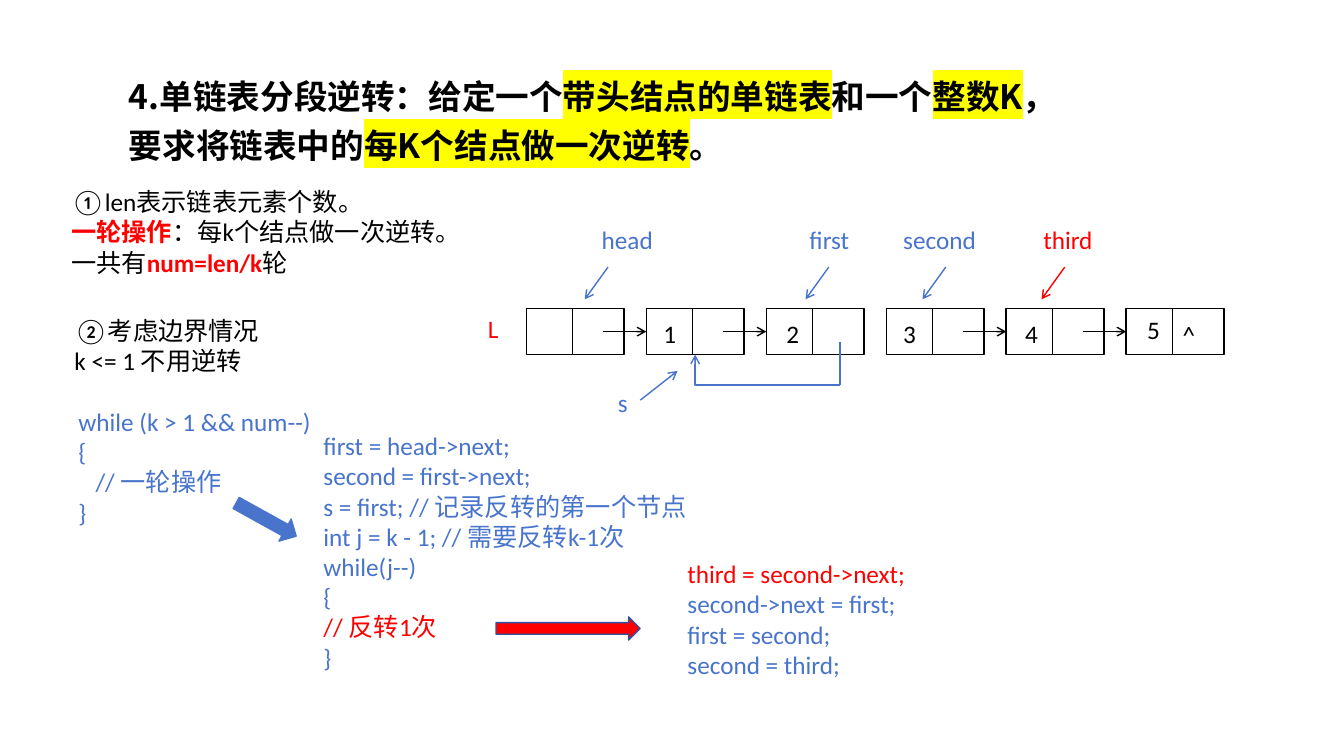
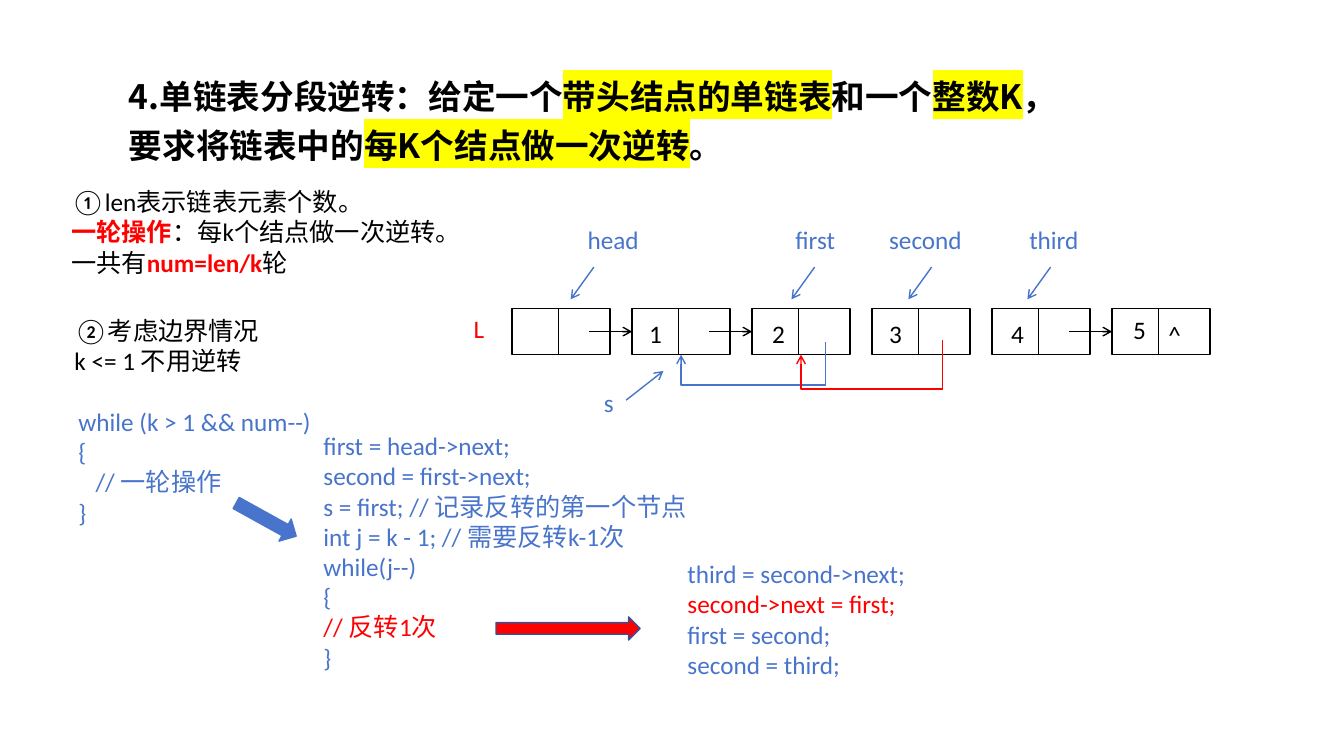
import dataclasses

import lxml.etree
import pptx
import pptx.dml.color
import pptx.enum.shapes
import pptx.enum.text
import pptx.oxml.ns
import pptx.util

Inches = pptx.util.Inches
qn = pptx.oxml.ns.qn
SHAPES = pptx.enum.shapes.MSO_SHAPE
CONNECTORS = pptx.enum.shapes.MSO_CONNECTOR
ANCHORS = pptx.enum.text.MSO_ANCHOR


@dataclasses.dataclass(frozen=True)
class Theme:
    black: str = "000000"
    red: str = "FF0000"
    blue: str = "4874CB"
    dark_blue: str = "2E54A1"
    yellow: str = "FFFF00"
    title_font: str = "Noto Sans CJK SC"
    body_font: str = "Calibri"
    title_size: int = 24
    body_size: int = 18
    title_spacing: float = 1.22
    line_width: float = 1


THEME = Theme()


@dataclasses.dataclass(frozen=True)
class Run:
    text: str
    color: str = THEME.black
    bold: bool = False
    highlight: bool = False


@dataclasses.dataclass(frozen=True)
class Step:
    list_left: float
    links: tuple
    active_line: int
    third_color: str
    second_reversed: bool


STEPS = (
    Step(5.22, (0, 1, 3, 4), 0, THEME.red, False),
    Step(5.08, (0, 1, 4), 1, THEME.blue, True),
)

TITLE = [
    Run("4.单链表分段逆转：给定一个", bold=True),
    Run("带头结点的单链表", bold=True, highlight=True),
    Run("和一个", bold=True),
    Run("整数K", bold=True, highlight=True),
    Run("，要求将链表中的", bold=True),
    Run("每K个结点做一次逆转", bold=True, highlight=True),
    Run("。", bold=True),
]
ROUND_NOTES = [
    [Run("①len表示链表元素个数。")],
    [Run("一轮操作", THEME.red, True), Run("：每k个结点做一次逆转。")],
    [Run("一共有"), Run("num=len/k", THEME.red, True), Run("轮")],
]
EDGE_NOTES = [[Run("②考虑边界情况")], [Run("k <= 1 不用逆转")]]
OUTER_LOOP = ("while (k > 1 && num--)", "{", "   // 一轮操作", "}")
ROUND_CODE = (
    "first = head->next;",
    "second = first->next;",
    "s = first; // 记录反转的第一个节点",
    "int j = k - 1; // 需要反转k-1次",
    "while(j--)",
    "{",
    "// 反转1次",
    "}",
)
REVERSE_CODE = (
    "third = second->next;",
    "second->next = first;",
    "first = second;",
    "second = third;",
)

NODE_COUNT = 6
NODE_PITCH = 1.19
NODE_TOP = 3.06
NODE_WIDTH = 0.97
NODE_HEIGHT = 0.46
DIVIDER = 0.46
NODE_VALUES = (
    ("1", 1.26, 3.11),
    ("2", 2.48, 3.11),
    ("3", 3.64, 3.11),
    ("4", 4.85, 3.11),
    ("5", 6.06, 3.07),
    ("^", 6.41, 3.12),
)
POINTERS = (
    ("head", 0.65, 0.86, 0.81),
    ("first", 2.71, 0.73, 3.0),
    ("second", 3.64, 1.02, 4.16),
    ("third", 5.03, 0.69, 5.34),
)


def rgb(color):
    return pptx.dml.color.RGBColor.from_string(color)


def add_run(paragraph, content, font_name, size):
    run = paragraph.add_run()
    run.text = content.text
    font = run.font
    font.size = pptx.util.Pt(size)
    font.bold = content.bold
    font.color.rgb = rgb(content.color)
    properties = run._r.get_or_add_rPr()
    if content.highlight:
        highlight = lxml.etree.SubElement(properties, qn("a:highlight"))
        lxml.etree.SubElement(highlight, qn("a:srgbClr"), val=THEME.yellow)
    font.name = font_name
    lxml.etree.SubElement(properties, qn("a:ea"), typeface=font_name)


def add_text(slide, box, paragraphs, font_name=THEME.body_font, size=THEME.body_size):
    frame = slide.shapes.add_textbox(*map(Inches, box)).text_frame
    frame.word_wrap = True
    for index, runs in enumerate(paragraphs):
        paragraph = frame.add_paragraph() if index else frame.paragraphs[0]
        for content in runs:
            add_run(paragraph, content, font_name, size)
    return frame


def add_label(slide, box, text, color):
    add_text(slide, box, [[Run(text, color)]])


def add_code(slide, box, lines, active_line=None):
    add_text(slide, box, [
        [Run(line, THEME.red if index == active_line else THEME.blue)]
        for index, line in enumerate(lines)
    ])


def add_title(slide):
    frame = add_text(slide, (1.18, 0.6, 9.66, 1.1), [TITLE],
                     THEME.title_font, THEME.title_size)
    frame.vertical_anchor = ANCHORS.MIDDLE
    frame.paragraphs[0].line_spacing = THEME.title_spacing


def add_box(slide, kind, box, line_color, fill_color=None):
    shape = slide.shapes.add_shape(kind, *map(Inches, box))
    shape.shadow.inherit = False
    if fill_color:
        shape.fill.solid()
        shape.fill.fore_color.rgb = rgb(fill_color)
    else:
        shape.fill.background()
    shape.line.color.rgb = rgb(line_color)
    shape.line.width = pptx.util.Pt(THEME.line_width)
    return shape


def add_line(slide, start, end, color, arrow=False, kind=CONNECTORS.STRAIGHT):
    connector = slide.shapes.add_connector(kind, *map(Inches, start + end))
    connector.line.color.rgb = rgb(color)
    connector.line.width = pptx.util.Pt(THEME.line_width)
    properties = connector._element.spPr
    if arrow:
        outline = properties.find(qn("a:ln"))
        lxml.etree.SubElement(outline, qn("a:tailEnd"), type="arrow")
    lxml.etree.SubElement(properties, qn("a:effectLst"))
    return connector


def add_back_link(slide, left, top, bottom, target, color):
    add_line(slide, (left, top), (left, bottom), color)
    end = (target.left.inches + NODE_WIDTH / 2, NODE_TOP + NODE_HEIGHT)
    elbow = add_line(slide, (left, bottom), end, color, True, CONNECTORS.ELBOW)
    elbow._element.spPr.find(qn("a:prstGeom")).set("prst", "bentConnector2")
    elbow.end_connect(target, 2)


def add_nodes(slide, step):
    nodes = []
    for index in range(NODE_COUNT):
        left = step.list_left + index * NODE_PITCH
        box = (left, NODE_TOP, NODE_WIDTH, NODE_HEIGHT)
        nodes.append(add_box(slide, SHAPES.RECTANGLE, box, THEME.black))
        divider = left + DIVIDER
        add_line(slide, (divider, NODE_TOP), (divider, NODE_TOP + NODE_HEIGHT),
                 THEME.black)
    middle = NODE_TOP + NODE_HEIGHT / 2
    for index in step.links:
        left = step.list_left + index * NODE_PITCH
        link = add_line(slide, (left + 0.76, middle), (left + NODE_PITCH, middle),
                        THEME.black, True)
        link.end_connect(nodes[index + 1], 1)
    return nodes


def add_linked_list(slide, step):
    left = step.list_left
    nodes = add_nodes(slide, step)
    add_label(slide, (left - 0.48, 3.06, 0.53, 0.4), "L", THEME.red)
    for text, offset, top in NODE_VALUES:
        add_label(slide, (left + offset, top, 0.29, 0.4), text, THEME.black)
    for text, offset, width, arrow_offset in POINTERS:
        color = step.third_color if text == "third" else THEME.blue
        add_label(slide, (left + offset, 2.18, width, 0.37), text, color)
        arrow_left = left + arrow_offset
        add_line(slide, (arrow_left, 2.65), (arrow_left - 0.23, 2.97), color, True)
    add_label(slide, (left + 0.81, 3.79, 0.51, 0.37), "s", THEME.blue)
    add_line(slide, (left + 1.13, 3.97), (left + 1.5, 3.68), THEME.blue, True)
    add_back_link(slide, left + 3.11, 3.39, 3.82, nodes[1], THEME.blue)
    if step.second_reversed:
        add_back_link(slide, left + 4.27, 3.37, 3.86, nodes[2], THEME.red)


def add_algorithm(slide, step):
    add_text(slide, (0.61, 1.8, 4.2, 1.16), ROUND_NOTES)
    add_text(slide, (0.64, 3.08, 3.14, 0.78), EDGE_NOTES)
    add_code(slide, (0.68, 3.98, 4.42, 1.32), OUTER_LOOP)
    add_code(slide, (3.11, 4.22, 4, 2.52), ROUND_CODE, ROUND_CODE.index("// 反转1次"))
    add_code(slide, (6.72, 5.49, 2.95, 1.4), REVERSE_CODE, step.active_line)
    round_arrow = add_box(slide, SHAPES.RIGHT_ARROW, (2.3, 5.03, 0.68, 0.25),
                          THEME.blue, THEME.blue)
    round_arrow.rotation = 29
    add_box(slide, SHAPES.RIGHT_ARROW, (4.92, 6.12, 1.43, 0.23),
            THEME.dark_blue, THEME.red)


def main():
    presentation = pptx.Presentation()
    presentation.slide_width = Inches(13.33)
    presentation.slide_height = Inches(7.5)
    for step in STEPS:
        slide = presentation.slides.add_slide(presentation.slide_layouts[6])
        add_title(slide)
        add_algorithm(slide, step)
        add_linked_list(slide, step)
    presentation.save("out.pptx")


if __name__ == "__main__":
    main()
